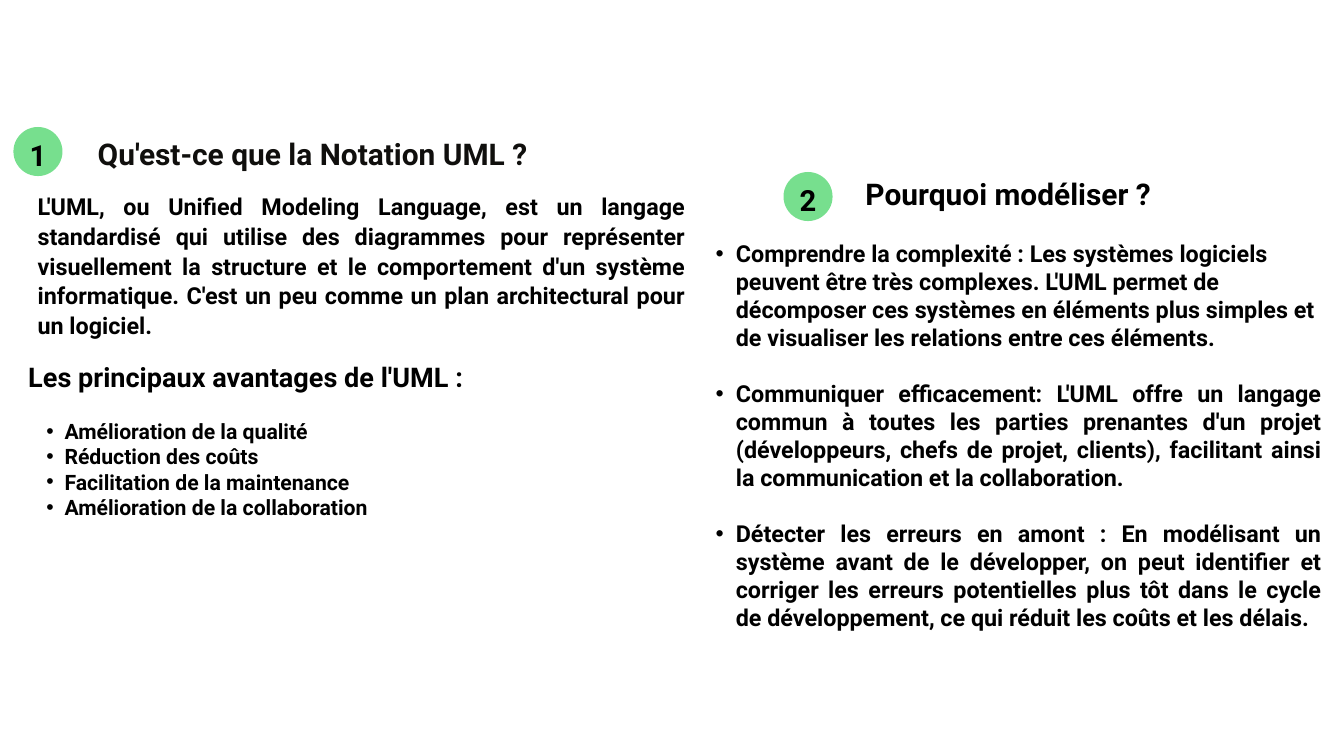
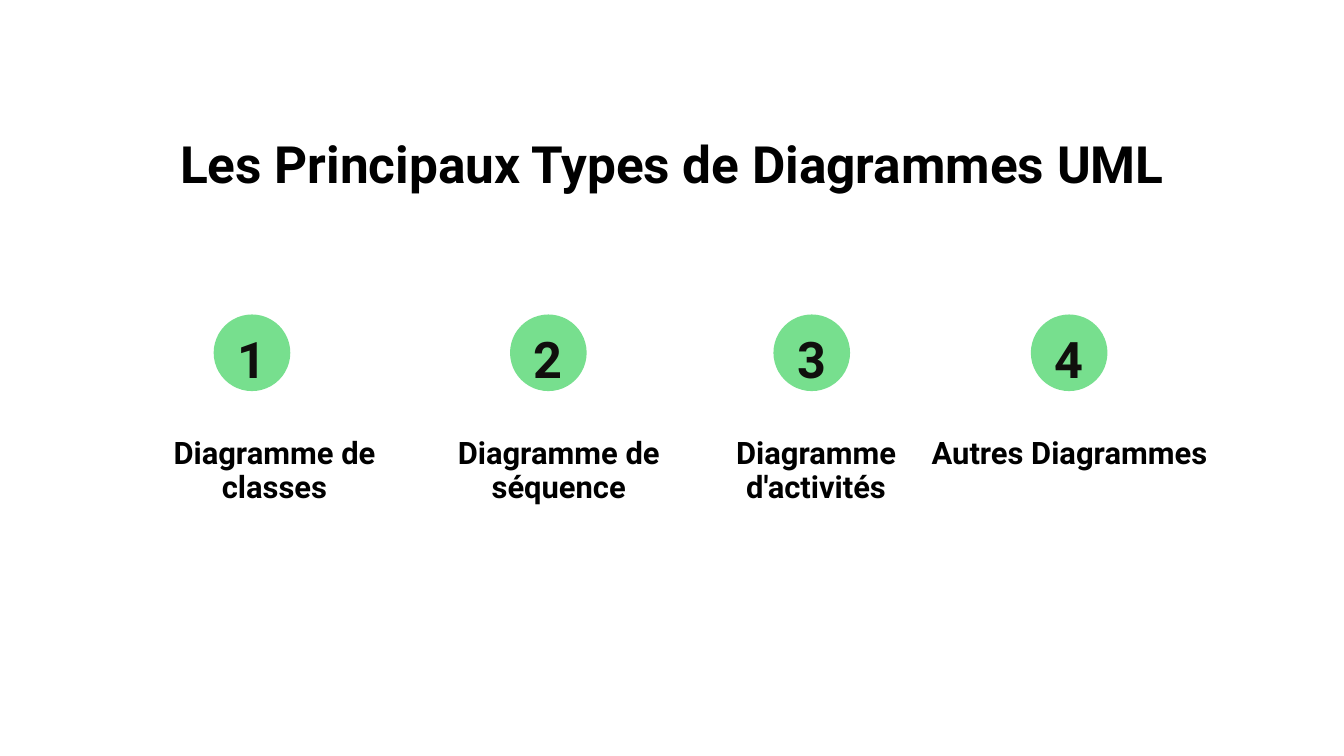
from dataclasses import dataclass
from typing import Any

from lxml.etree import SubElement
from pptx import Presentation
from pptx.dml.color import RGBColor
from pptx.enum.shapes import MSO_SHAPE
from pptx.enum.text import PP_ALIGN
from pptx.oxml.ns import qn
from pptx.util import Inches, Pt

OVAL = MSO_SHAPE.OVAL
LEFT, CENTER, FULL = PP_ALIGN.LEFT, PP_ALIGN.CENTER, PP_ALIGN.JUSTIFY
WIDTH, HEIGHT = Inches(20), Inches(11.25)
COLS, ROWS = 20, 11.25
BLANK = 6


@dataclass(frozen=True)
class Style:
    size: float
    lead: float
    color: str = "000000"
    align: Any = LEFT
    indent: float = 0


@dataclass(frozen=True)
class Theme:
    font: str = "Roboto"
    green: str = "77DF8E"
    title: Style = Style(55, 66, align=CENTER)
    topic: Style = Style(32, 44.8, "100F0D", CENTER)
    reason: Style = Style(32, 38.4, align=CENTER)
    head: Style = Style(29, 34.9)
    body: Style = Style(25, 32, align=FULL)
    point: Style = Style(25, 30, align=FULL, indent=0.3)
    ragged: Style = Style(25, 30, indent=0.3)
    item: Style = Style(22.7, 27.2, indent=0.27)
    label: Style = Style(33.1, 36.5, align=CENTER)
    minor: Style = Style(31.2, 49, align=CENTER)
    major: Style = Style(54, 84.9, "100F0D", CENTER)


@dataclass(frozen=True)
class Box:
    left: float
    top: float
    width: float
    height: float

    def place(self) -> tuple[int, ...]:
        across, down = WIDTH / COLS, HEIGHT / ROWS
        return (round(self.left * across), round(self.top * down),
                round(self.width * across), round(self.height * down))


@dataclass(frozen=True)
class Line:
    text: str
    style: Style
    before: float = 0


@dataclass(frozen=True)
class Badge:
    size: float
    inset: float
    lift: float
    height: float
    style: Style


THEME = Theme()
SMALL = Badge(0.73, 0.1, 0.01, 0.64, THEME.minor)
LARGE = Badge(1.14, 0, 0.08, 1.1, THEME.major)

INTRO = (
    "L'UML, ou Unified Modeling Language, est un langage standardisé qui utilise "
    "des diagrammes pour représenter visuellement la structure et le comportement "
    "d'un système informatique. C'est un peu comme un plan architectural pour un logiciel."
)
GAINS = ("Amélioration de la qualité", "Réduction des coûts",
         "Facilitation de la maintenance", "Amélioration de la collaboration")
REASONS = (
    "Comprendre la complexité : Les systèmes logiciels peuvent être très complexes. "
    "L'UML permet de décomposer ces systèmes en éléments plus simples et de visualiser "
    "les relations entre ces éléments.",
    "Communiquer efficacement: L'UML offre un langage commun à toutes les parties "
    "prenantes d'un projet (développeurs, chefs de projet, clients), facilitant ainsi "
    "la communication et la collaboration.",
    "Détecter les erreurs en amont : En modélisant un système avant de le développer, "
    "on peut identifier et corriger les erreurs potentielles plus tôt dans le cycle de "
    "développement, ce qui réduit les coûts et les délais.",
)
KINDS = (
    ("Diagramme de classes", 3.18, 1.97),
    ("Diagramme de séquence", 7.59, 6.2),
    ("Diagramme d'activités", 11.51, 10.03),
    ("Autres Diagrammes", 15.34, 13.8),
)


def add_bullet(para: Any, indent: float) -> None:
    para.level = 1
    props = para._p.get_or_add_pPr()
    props.set("marL", str(Inches(2 * indent)))
    props.set("indent", str(-Inches(indent)))
    SubElement(props, qn("a:buFont")).set("typeface", "Arial")
    SubElement(props, qn("a:buChar")).set("char", "•")


def add_text(shapes: Any, box: Box, *lines: Line) -> None:
    frame = shapes.add_textbox(*box.place()).text_frame
    frame.word_wrap = True
    frame.margin_left = frame.margin_right = 0
    frame.margin_top = frame.margin_bottom = 0
    for index, line in enumerate(lines):
        para = frame.add_paragraph() if index else frame.paragraphs[0]
        style = line.style
        if style.indent:
            add_bullet(para, style.indent)
        para.text = line.text
        para.alignment = style.align
        para.line_spacing = Pt(style.lead)
        para.space_before = Pt(line.before)
        para.font.name = THEME.font
        para.font.size = Pt(style.size)
        para.font.bold = True
        para.font.color.rgb = RGBColor.from_string(style.color)


def add_badge(shapes: Any, kind: Badge, left: float, top: float, number: int) -> None:
    group = shapes.add_group_shape().shapes
    disc = group.add_shape(OVAL, *Box(left, top, kind.size, kind.size).place())
    disc.shadow.inherit = False
    disc.fill.solid()
    disc.fill.fore_color.rgb = RGBColor.from_string(THEME.green)
    disc.line.fill.background()
    box = Box(left + kind.inset, top - kind.lift,
              kind.size - 2 * kind.inset, kind.height)
    add_text(group, box, Line(str(number), kind.style))


def draw_basics(shapes: Any) -> None:
    add_text(shapes, Box(0.56, 2.83, 9.63, 2.18), Line(INTRO, THEME.body))
    add_text(shapes, Box(0.82, 1.93, 7.67, 0.6),
             Line("Qu'est-ce que la Notation UML ?", THEME.topic))
    points = [Line(text, THEME.point if index else THEME.ragged, THEME.point.lead)
              for index, text in enumerate(REASONS)]
    add_text(shapes, Box(10.35, 2.61, 9.31, 7.45),
             Line("Pourquoi modéliser ?", THEME.reason), *points)
    items = [Line(text, THEME.item, 0 if index else THEME.item.lead)
             for index, text in enumerate(GAINS)]
    add_text(shapes, Box(0.42, 5.36, 7.28, 2.32),
             Line("Les principaux avantages de l'UML :", THEME.head), *items)
    add_badge(shapes, SMALL, 0.2, 1.89, 1)
    add_badge(shapes, SMALL, 11.66, 2.56, 2)


def draw_kinds(shapes: Any) -> None:
    add_text(shapes, Box(2.43, 1.97, 15.14, 1.83),
             Line("Les Principaux Types de Diagrammes UML", THEME.title))
    for number, (name, disc, left) in enumerate(KINDS, 1):
        add_text(shapes, Box(left, 6.49, 4.23, 1.02), Line(name, THEME.label))
        add_badge(shapes, LARGE, disc, 4.68, number)


def main() -> None:
    deck = Presentation()
    deck.slide_width, deck.slide_height = WIDTH, HEIGHT
    for draw in (draw_basics, draw_kinds):
        draw(deck.slides.add_slide(deck.slide_layouts[BLANK]).shapes)
    deck.save("out.pptx")


if __name__ == "__main__":
    main()
